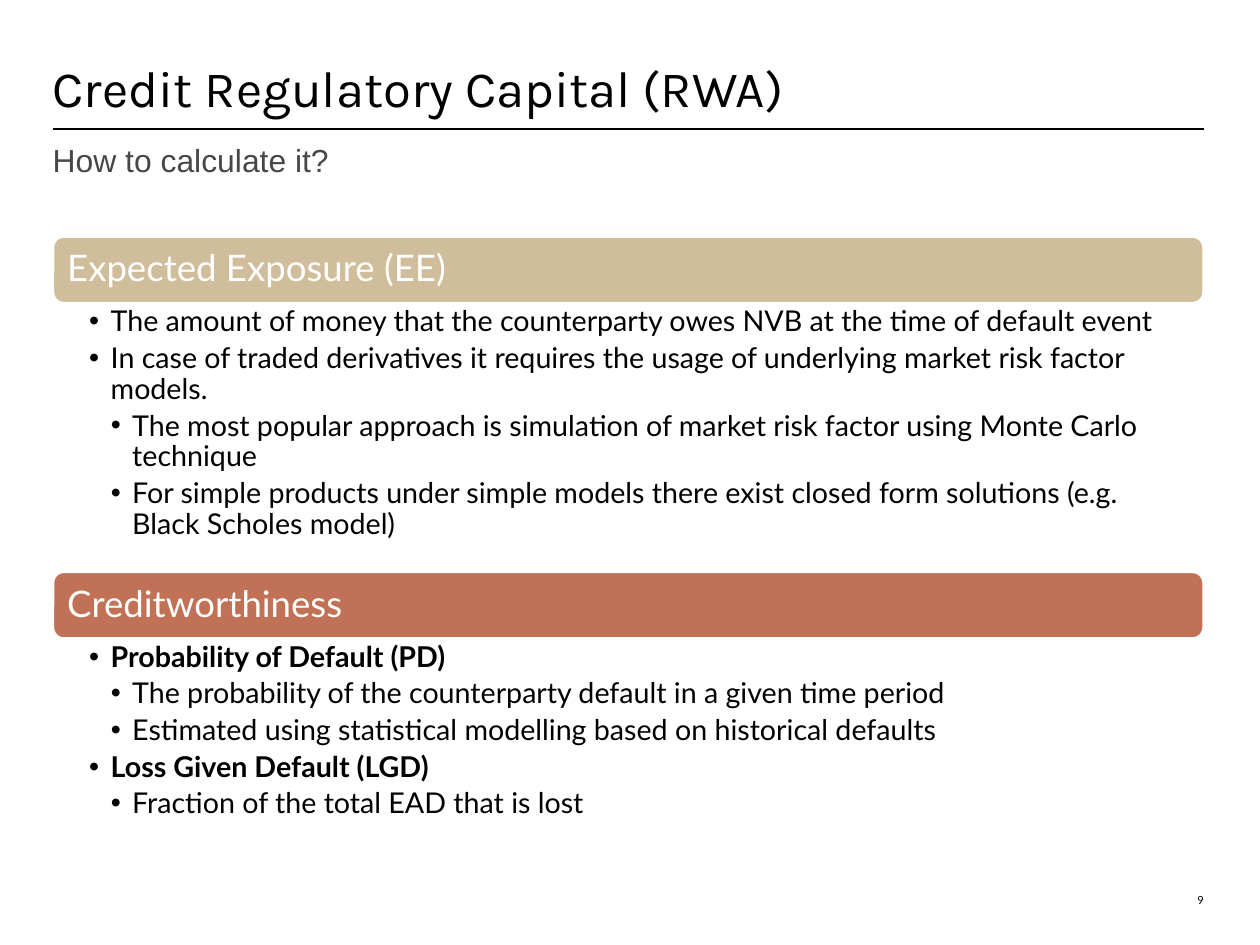
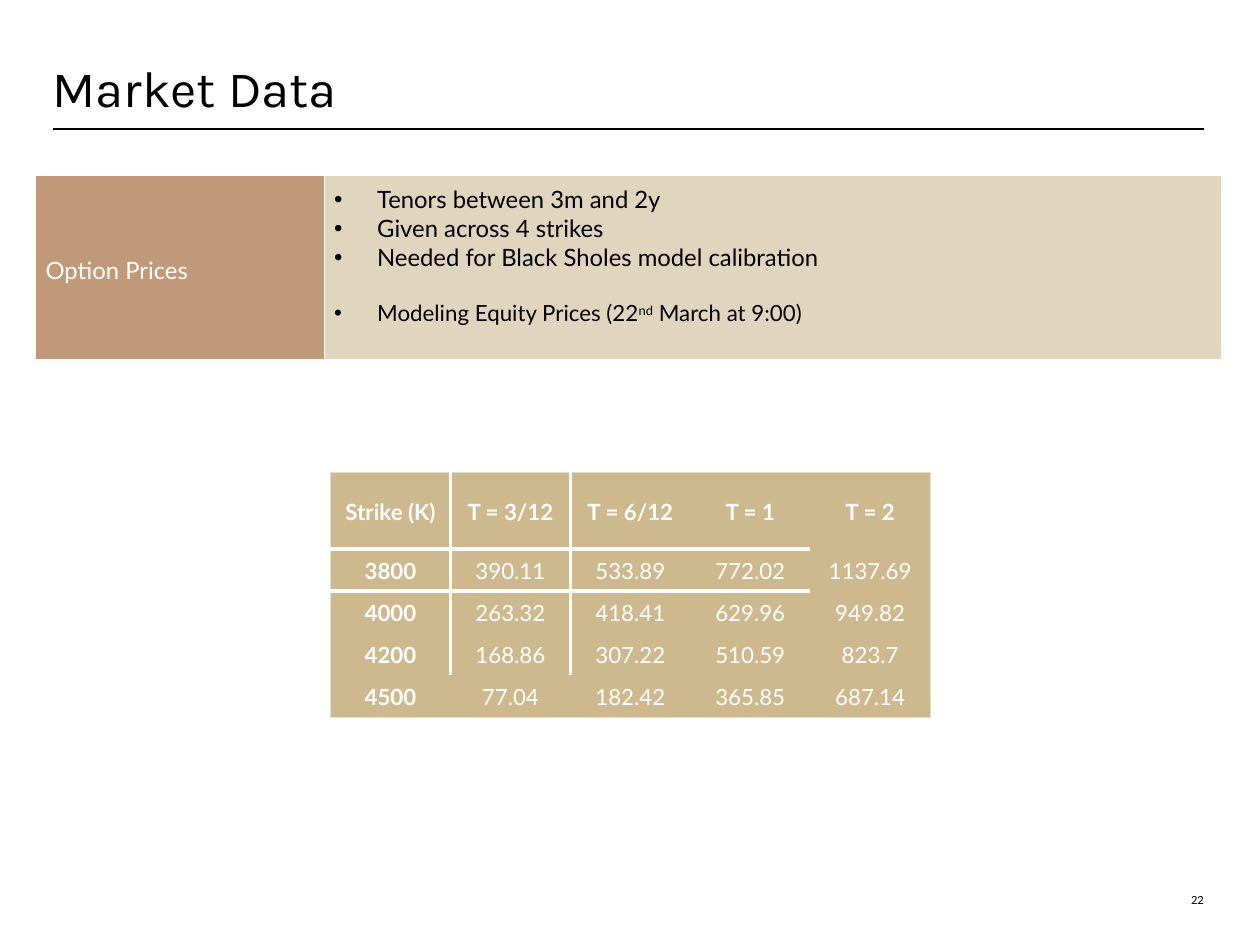
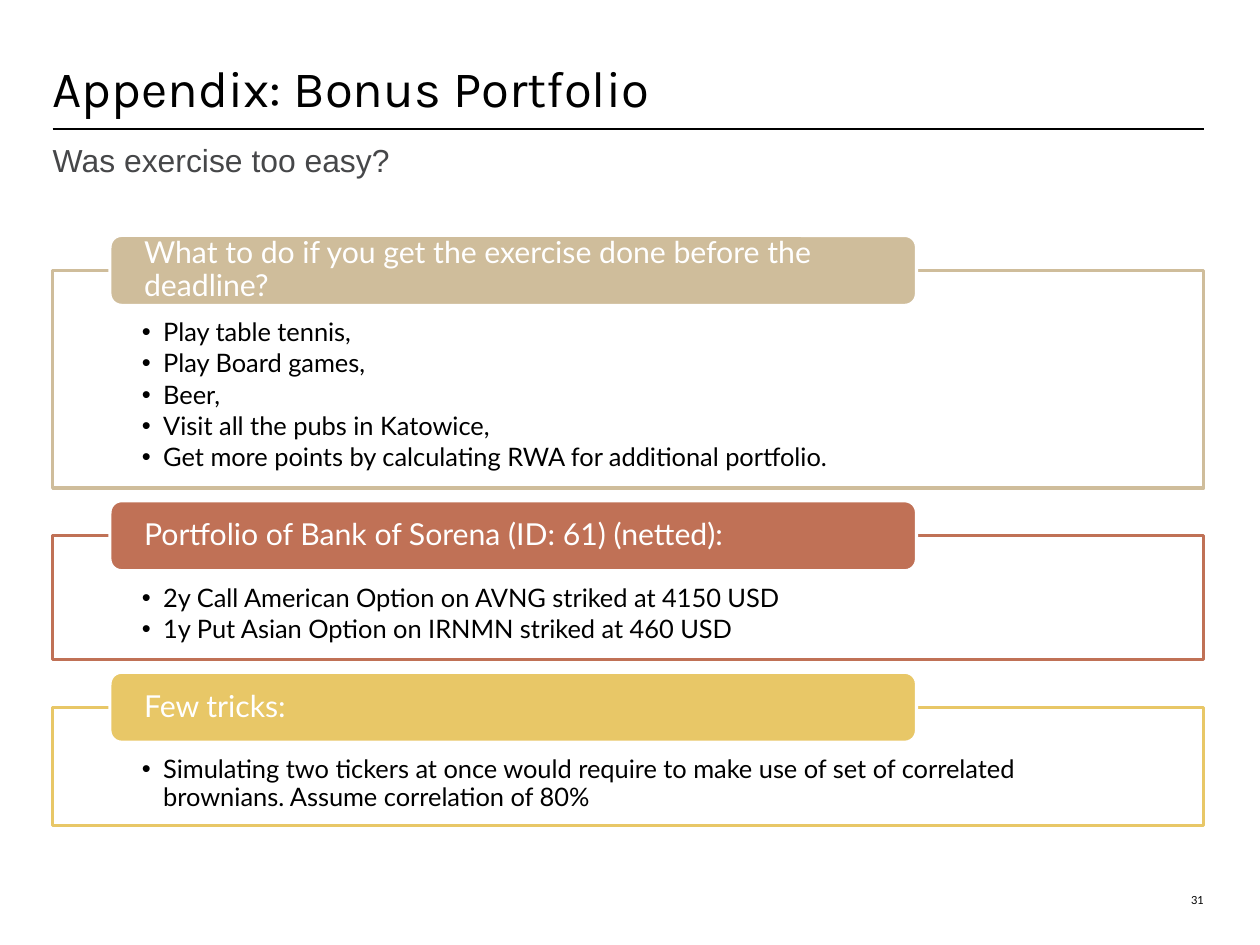
"""Build three slides on credit regulatory capital, market data and a bonus portfolio."""
from dataclasses import dataclass, replace

import lxml.etree
import pptx
import pptx.dml.color
import pptx.enum.shapes
import pptx.enum.text
import pptx.oxml.ns
import pptx.slide
import pptx.table
import pptx.text.text
import pptx.util

Pt = pptx.util.Pt
qn = pptx.oxml.ns.qn
Anchor = pptx.enum.text.MSO_ANCHOR
Align = pptx.enum.text.PP_ALIGN
Preset = pptx.enum.shapes.MSO_SHAPE

COLOURS = {
    "ink": "000000",
    "paper": "FFFFFF",
    "subtitle": "464749",
    "sand": "CFBD9B",
    "clay": "C07156",
    "gold": "E8C767",
    "label": "C09979",
    "notes": "E0D5BD",
    "prices": "CEB98E",
    "price_edge": "E4DCD0",
}
LEFT, WIDTH = 33.1, 723.6
RULE_TOP = 81.4
NO_TABLE_STYLE = "{2D5ABB26-0587-4C30-8999-92F81FD0307C}"


@dataclass(frozen=True)
class Box:
    left: float
    top: float
    width: float
    height: float

    def lengths(self) -> tuple:
        return Pt(self.left), Pt(self.top), Pt(self.width), Pt(self.height)


@dataclass(frozen=True)
class Insets:
    left: float = 0
    top: float = 0
    right: float = 0
    bottom: float = 0


@dataclass(frozen=True)
class TextStyle:
    size: float
    colour: str = "ink"
    font: str = "Lato"
    bold: bool = False
    align: Align = Align.LEFT
    line: float | pptx.util.Length | None = None
    after: float = 0
    hanging: float = 0


@dataclass(frozen=True)
class Line:
    text: str
    level: int = 1
    bold: bool = False


@dataclass(frozen=True)
class Section:
    heading: str
    colour: str
    height: float
    lines: list[Line]


TITLE = TextStyle(32, font="Karla", line=Pt(32))
SUBTITLE = TextStyle(20, "subtitle", "Arial", after=6)
PAGE_NUMBER = TextStyle(7, align=Align.RIGHT)
BANNER = TextStyle(23, "paper", line=0.9)
TAB = TextStyle(19, "paper", line=0.9)
BANNER_BODY = TextStyle(18, line=0.9, after=3.6, hanging=13.5)
FRAME_BODY = TextStyle(16, line=0.9, after=2.4, hanging=13.5)
TABLE_LABEL = TextStyle(15, "paper")
TABLE_NOTES = TextStyle(15, hanging=27)
PRICE = TextStyle(14, "paper", align=Align.CENTER)

CAPITAL_SECTIONS = [
    Section("Expected Exposure (EE)", "sand", 168.5, [
        Line("The amount of money that the counterparty owes NVB at the time of default event"),
        Line("In case of traded derivatives it requires the usage of underlying market risk "
             "factor models."),
        Line("The most popular approach is simulation of market risk factor using Monte Carlo "
             "technique", 2),
        Line("For simple products under simple models there exist closed form solutions (e.g. "
             "Black Scholes model)", 2),
    ]),
    Section("Creditworthiness", "clay", 116, [
        Line("Probability of Default (PD)", bold=True),
        Line("The probability of the counterparty default in a given time period", 2),
        Line("Estimated using statistical modelling based on historical defaults", 2),
        Line("Loss Given Default (LGD)", bold=True),
        Line("Fraction of the total EAD that is lost", 2),
    ]),
]

BONUS_SECTIONS = [
    Section("What to do if you get the exercise done before the deadline?", "sand", 136.8, [
        Line("Play table tennis,"),
        Line("Play Board games,"),
        Line("Beer,"),
        Line("Visit all the pubs in Katowice,"),
        Line("Get more points by calculating RWA for additional portfolio."),
    ]),
    Section("Portfolio of Bank of Sorena (ID: 61) (netted):", "clay", 77.8, [
        Line("2y Call American Option on AVNG striked at 4150 USD"),
        Line("1y Put Asian Option on IRNMN striked at 460 USD"),
    ]),
    Section("Few tricks:", "gold", 74.2, [
        Line("Simulating two tickers at once would require to make use of set of correlated "
             "brownians. Assume correlation of 80%"),
    ]),
]

OPTION_NOTES = [
    Line("Tenors between 3m and 2y"),
    Line("Given across 4 strikes"),
    Line("Needed for Black Sholes model calibration"),
    Line("Modeling Equity Prices (22"),
]

OPTION_PRICES = [
    ["Strike (K)", "T = 3/12", "T = 6/12", "T = 1", "T = 2"],
    ["3800", "390.11", "533.89", "772.02", "1137.69"],
    ["4000", "263.32", "418.41", "629.96", "949.82"],
    ["4200", "168.86", "307.22", "510.59", "823.7"],
    ["4500", "77.04", "182.42", "365.85", "687.14"],
]


def rgb(name: str) -> pptx.dml.color.RGBColor:
    return pptx.dml.color.RGBColor.from_string(COLOURS[name])


def format_run(run, style: TextStyle, bold: bool = False) -> None:
    run.font.name = style.font
    run.font.size = Pt(style.size)
    run.font.bold = style.bold or bold
    run.font.color.rgb = rgb(style.colour)


def write(frame: pptx.text.text.TextFrame, lines: list[Line], style: TextStyle) -> None:
    frame.text = "\n".join(line.text for line in lines)
    for paragraph, line in zip(frame.paragraphs, lines):
        paragraph.alignment = style.align
        paragraph.line_spacing = style.line
        paragraph.space_before = Pt(0)
        paragraph.space_after = Pt(style.after)
        if style.hanging:
            properties = paragraph._p.get_or_add_pPr()
            properties.set("marL", str(Pt(style.hanging * line.level)))
            properties.set("indent", str(-Pt(style.hanging)))
            lxml.etree.SubElement(properties, qn("a:buFont"), typeface="Arial")
            lxml.etree.SubElement(properties, qn("a:buChar"), char="•")
        for run in paragraph.runs:
            format_run(run, style, line.bold)


def set_insets(holder, insets: Insets, anchor: Anchor) -> None:
    holder.margin_left, holder.margin_top = Pt(insets.left), Pt(insets.top)
    holder.margin_right, holder.margin_bottom = Pt(insets.right), Pt(insets.bottom)
    holder.vertical_anchor = anchor


def add_text(slide: pptx.slide.Slide, box: Box, lines: list[Line], style: TextStyle,
             insets: Insets = Insets(), anchor: Anchor = Anchor.TOP) -> None:
    frame = slide.shapes.add_textbox(*box.lengths()).text_frame
    frame.word_wrap = True
    set_insets(frame, insets, anchor)
    write(frame, lines, style)


def add_panel(slide: pptx.slide.Slide, preset: Preset, box: Box, fill: str, outline: str,
              lines: list[Line], style: TextStyle, insets: Insets, anchor: Anchor) -> None:
    panel = slide.shapes.add_shape(preset, *box.lengths())
    panel.shadow.inherit = False
    panel.fill.solid()
    panel.fill.fore_color.rgb = rgb(fill)
    panel.line.color.rgb = rgb(outline)
    panel.line.width = Pt(2)
    panel.text_frame.word_wrap = True
    set_insets(panel.text_frame, insets, anchor)
    write(panel.text_frame, lines, style)


def add_page(deck, title: str, number: int, subtitle: str = "") -> pptx.slide.Slide:
    slide = deck.slides.add_slide(deck.slide_layouts[6])
    rule = slide.shapes.add_connector(
        pptx.enum.shapes.MSO_CONNECTOR.STRAIGHT,
        Pt(LEFT), Pt(RULE_TOP), Pt(LEFT + WIDTH), Pt(RULE_TOP))
    rule.line.color.rgb = rgb("ink")
    rule.line.width = Pt(1.25)
    lxml.etree.SubElement(rule._element.spPr, qn("a:effectLst"))
    add_text(slide, Box(LEFT, 0, WIDTH, 74.2), [Line(title)], TITLE, anchor=Anchor.BOTTOM)
    if subtitle:
        add_text(slide, Box(LEFT, 88.6, WIDTH, 21.6), [Line(subtitle)], SUBTITLE)
    add_text(slide, Box(LEFT + WIDTH - 32, 540, 32, 30.2), [Line(str(number))], PAGE_NUMBER,
             anchor=Anchor.BOTTOM)
    return slide


def add_banner_sections(slide: pptx.slide.Slide, sections: list[Section]) -> None:
    top, banner_height = 148.5, 42.3
    for section in sections:
        add_panel(slide, Preset.ROUNDED_RECTANGLE, Box(LEFT, top, WIDTH, banner_height),
                  section.colour, "paper", [Line(section.heading)], BANNER,
                  Insets(7.2, 7.2, 7.2, 7.2), Anchor.MIDDLE)
        add_text(slide, Box(LEFT, top + banner_height, WIDTH, section.height), section.lines,
                 BANNER_BODY, Insets(23, 2.2, 13, 2.2))
        top += banner_height + section.height


def add_framed_sections(slide: pptx.slide.Slide, sections: list[Section]) -> None:
    top, tab_height, gap = 170, 44, 30
    for section in sections:
        add_panel(slide, Preset.RECTANGLE, Box(LEFT, top, WIDTH, section.height),
                  "paper", section.colour, section.lines, FRAME_BODY,
                  Insets(56, 31, 56, 8.6), Anchor.TOP)
        add_panel(slide, Preset.ROUNDED_RECTANGLE,
                  Box(LEFT + 36, top - tab_height / 2, 507, tab_height),
                  section.colour, "paper", [Line(section.heading)], TAB,
                  Insets(19.4, 0, 19.4, 0), Anchor.MIDDLE)
        top += section.height + gap


def add_grid(slide: pptx.slide.Slide, left: float, top: float, columns: list[float],
             rows: list[float]) -> pptx.table.Table:
    box = Box(left, top, sum(columns), sum(rows))
    grid = slide.shapes.add_table(len(rows), len(columns), *box.lengths()).table
    grid.first_row = grid.horz_banding = False
    grid._tbl.tblPr.find(qn("a:tableStyleId")).text = NO_TABLE_STYLE
    for column, width in zip(grid.columns, columns):
        column.width = Pt(width)
    for row, height in zip(grid.rows, rows):
        row.height = Pt(height)
    return grid


def style_cell(cell, fill: str, borders: dict[str, tuple[str, float]], insets: Insets,
               anchor: Anchor = Anchor.MIDDLE) -> None:
    properties = cell._tc.get_or_add_tcPr()
    for side in "LRTB":
        if side in borders:
            colour, width = borders[side]
            edge = lxml.etree.SubElement(properties, qn(f"a:ln{side}"), w=str(Pt(width)))
            paint = lxml.etree.SubElement(edge, qn("a:solidFill"))
            lxml.etree.SubElement(paint, qn("a:srgbClr"), val=COLOURS[colour])
    cell.fill.solid()
    cell.fill.fore_color.rgb = rgb(fill)
    set_insets(cell, insets, anchor)


def add_option_summary(slide: pptx.slide.Slide) -> None:
    grid = add_grid(slide, 22.5, 110, [181.4, 564], [117])
    label, notes = grid.cell(0, 0), grid.cell(0, 1)
    edges = {"L": ("paper", 1), "R": ("paper", 1), "T": ("paper", 1), "B": ("paper", 3)}
    insets = Insets(6.2, 6.5, 6.2, 4.3)
    style_cell(label, "label", edges, insets)
    style_cell(notes, "notes", edges, insets, Anchor.TOP)
    write(label.text_frame, [Line("Option Prices")], TABLE_LABEL)
    write(notes.text_frame, OPTION_NOTES, TABLE_NOTES)

    dated = notes.text_frame.paragraphs[-1]
    dated.space_before = Pt(18)
    for text in ("nd", " March at 9:00)"):
        dated.add_run().text = text
    for run in dated.runs:
        format_run(run, replace(TABLE_NOTES, size=14))
    dated.runs[1].font._element.set("baseline", "30000")


def price_borders(row: int, column: int, last: int) -> dict[str, tuple[str, float]]:
    outer, strike_rule, tenor_rule = ("price_edge", 0.75), ("paper", 2), ("paper", 3)
    borders = {}
    if column == 0:
        borders["L"] = outer
    if column == last:
        borders["R"] = outer
    if row == 0:
        borders["T"] = outer
    if row == last:
        borders["B"] = outer
    if row < last and column < 2:
        borders["RL"[column]] = strike_rule
    if column < last and row < 2:
        borders["BT"[row]] = tenor_rule
    return borders


def add_option_prices(slide: pptx.slide.Slide) -> None:
    last = len(OPTION_PRICES) - 1
    grid = add_grid(slide, 207.8, 297, [75.4] * (last + 1), [48.2] + [26.4] * last)
    for row, prices in enumerate(OPTION_PRICES):
        for column, price in enumerate(prices):
            cell = grid.cell(row, column)
            style_cell(cell, "prices", price_borders(row, column, last), Insets(0.7, 0.7, 0.7))
            write(cell.text_frame, [Line(price, bold=row == 0 or column == 0)], PRICE)


def main() -> None:
    deck = pptx.Presentation()
    deck.slide_width, deck.slide_height = Pt(792), Pt(594)

    capital = add_page(deck, "Credit Regulatory Capital (RWA)", 9, "How to calculate it?")
    add_banner_sections(capital, CAPITAL_SECTIONS)

    market = add_page(deck, "Market Data", 22)
    add_option_summary(market)
    add_option_prices(market)

    bonus = add_page(deck, "Appendix: Bonus Portfolio", 31, "Was exercise too easy?")
    add_framed_sections(bonus, BONUS_SECTIONS)

    deck.save("out.pptx")


if __name__ == "__main__":
    main()
